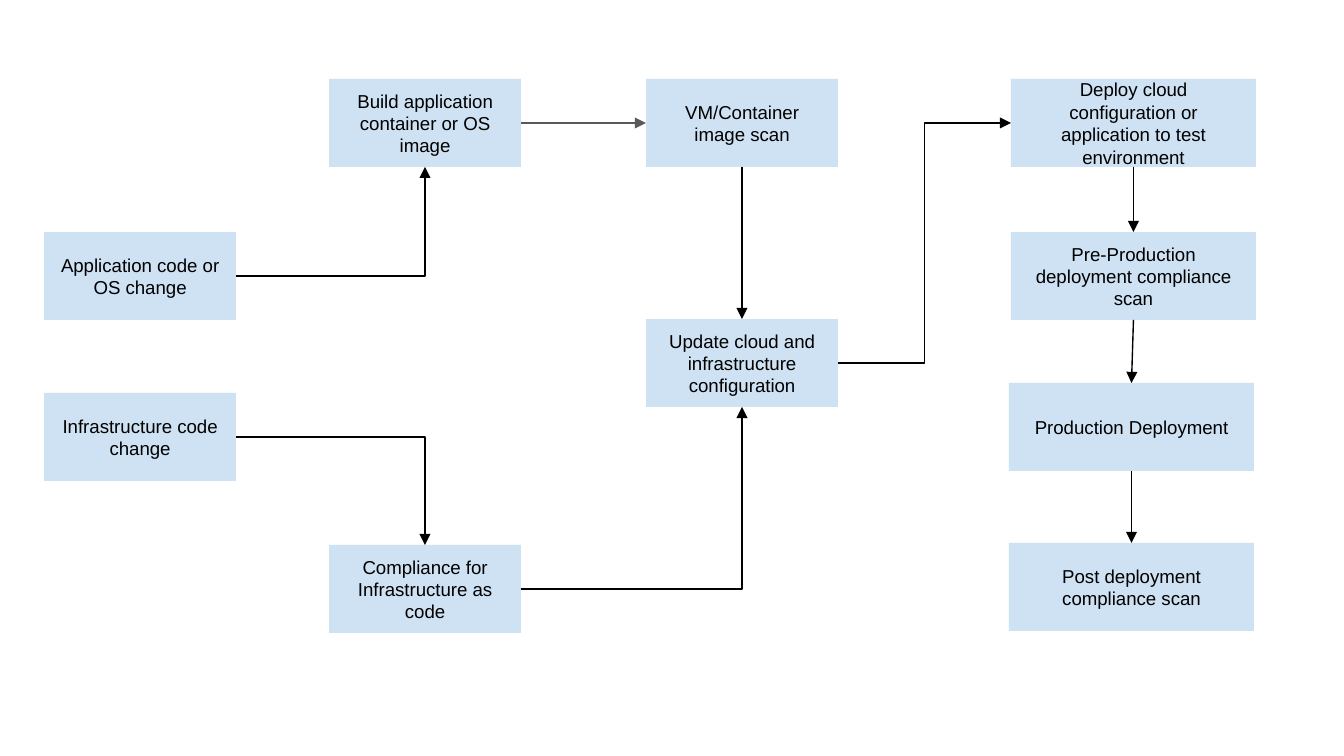
from pptx import Presentation
from pptx.dml.color import RGBColor as RGB
from pptx.enum.shapes import MSO_CONNECTOR as Conn, MSO_SHAPE as Shape
from pptx.enum.text import MSO_ANCHOR as Anchor, PP_ALIGN as Align
from pptx.oxml.ns import qn
from pptx.util import Pt
from lxml import etree

SCALE = 914400 / 134.4
COLORS = {"box": "CFE2F3", "text": "000000", "line": "000000", "gray": "595959"}
TOP, LEFT, BOTTOM, RIGHT = range(4)


def px(n):
    return round(n * SCALE)


def color(name):
    return RGB.from_string(COLORS[name])


def write(frame, text, size=10, font="Arial", ink="text", align=Align.CENTER):
    frame.word_wrap = True
    frame.vertical_anchor = Anchor.MIDDLE
    frame.margin_left = frame.margin_right = px(13)
    frame.margin_top = frame.margin_bottom = px(13)
    par = frame.paragraphs[0]
    par.alignment = align
    run = par.add_run()
    run.text = text
    run.font.size = Pt(size)
    run.font.name = font
    run.font.color.rgb = color(ink)


class Flow:
    height = 88
    weight = 0.75

    def __init__(self, slide):
        self.shapes = slide.shapes

    def box(self, text, x, y, width):
        box = self.shapes.add_shape(
            Shape.RECTANGLE, px(x), px(y), px(width), px(self.height))
        box.shadow.inherit = False
        box.fill.solid()
        box.fill.fore_color.rgb = color("box")
        box.line.fill.background()
        write(box.text_frame, text)
        return box

    def arrow(self, start, out, end, into, kind=Conn.STRAIGHT, ink="line"):
        link = self.shapes.add_connector(kind, 0, 0, 0, 0)
        link.begin_connect(start, out)
        link.end_connect(end, into)
        link.line.width = Pt(self.weight)
        link.line.color.rgb = color(ink)
        props = link._element.spPr
        # One corner when the arrow leaves sideways and arrives upright
        if kind == Conn.ELBOW and into in (TOP, BOTTOM):
            props.find(qn("a:prstGeom")).set("prst", "bentConnector2")
        edge = props.find(qn("a:ln"))
        etree.SubElement(edge, qn("a:tailEnd"), type="triangle")
        etree.SubElement(props, qn("a:effectLst"))


prs = Presentation()
prs.slide_width, prs.slide_height = px(1344), px(756)
flow = Flow(prs.slides.add_slide(prs.slide_layouts[6]))

# Boxes: key, text, left, top, width
SMALL, WIDE = 192, 245
STEPS = [
    ("app", "Application code or OS change", 44, 232, SMALL),
    ("infra", "Infrastructure code change", 44, 393, SMALL),
    ("build", "Build application container or OS image", 329, 79, SMALL),
    ("comply", "Compliance for Infrastructure as code", 329, 545, SMALL),
    ("scan", "VM/Container image scan", 646, 79, SMALL),
    ("update", "Update cloud and infrastructure configuration", 646, 319, SMALL),
    ("test", "Deploy cloud configuration or application to test environment",
     1011, 79, WIDE),
    ("pre", "Pre-Production deployment compliance scan", 1011, 232, WIDE),
    ("prod", "Production Deployment", 1009, 383, WIDE),
    ("post", "Post deployment compliance scan", 1009, 543, WIDE),
]
steps = {key: flow.box(*rest) for key, *rest in STEPS}

# Straight arrows down
for start, end in [("scan", "update"), ("test", "pre"), ("pre", "prod"), ("prod", "post")]:
    flow.arrow(steps[start], BOTTOM, steps[end], TOP)

# Elbow arrows from the right edge
for start, end, into, ink in [
    ("app", "build", BOTTOM, "line"),
    ("infra", "comply", TOP, "line"),
    ("build", "scan", LEFT, "gray"),
    ("comply", "update", BOTTOM, "line"),
    ("update", "test", LEFT, "line"),
]:
    flow.arrow(steps[start], RIGHT, steps[end], into, Conn.ELBOW, ink)

prs.save("out.pptx")
